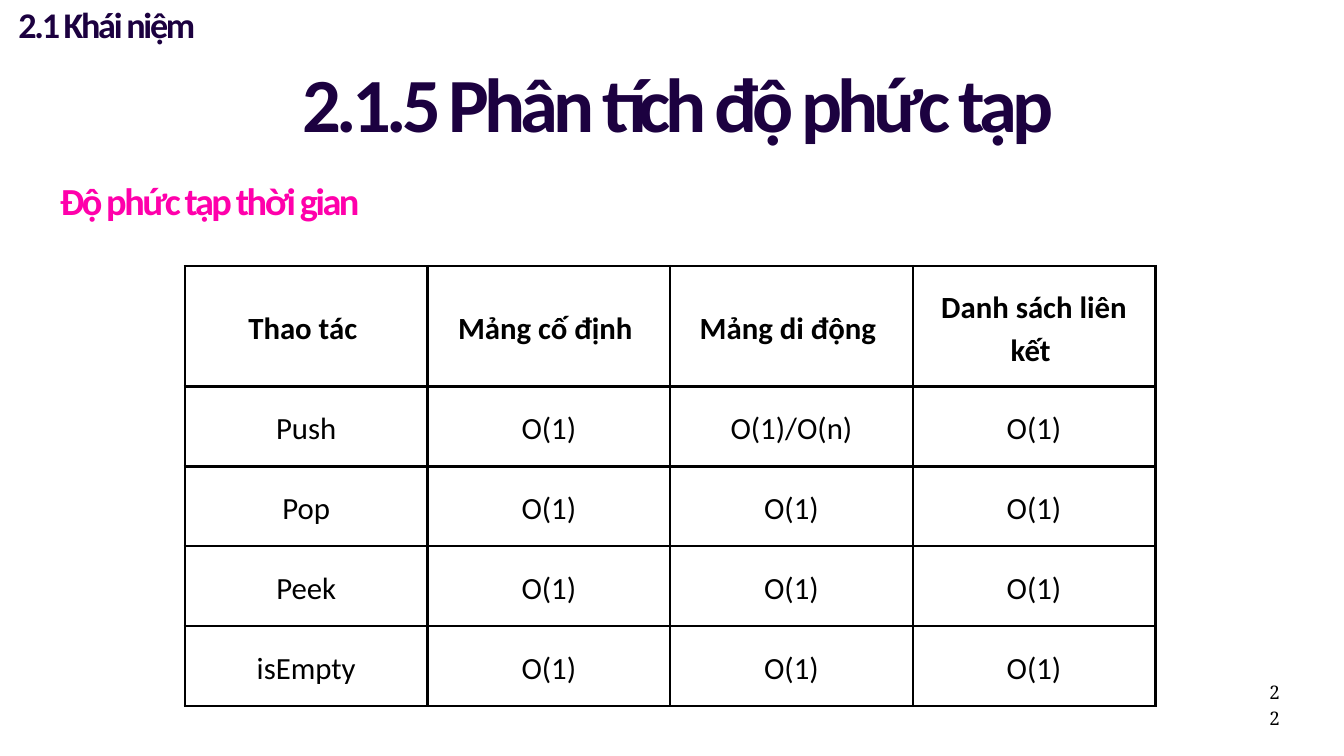
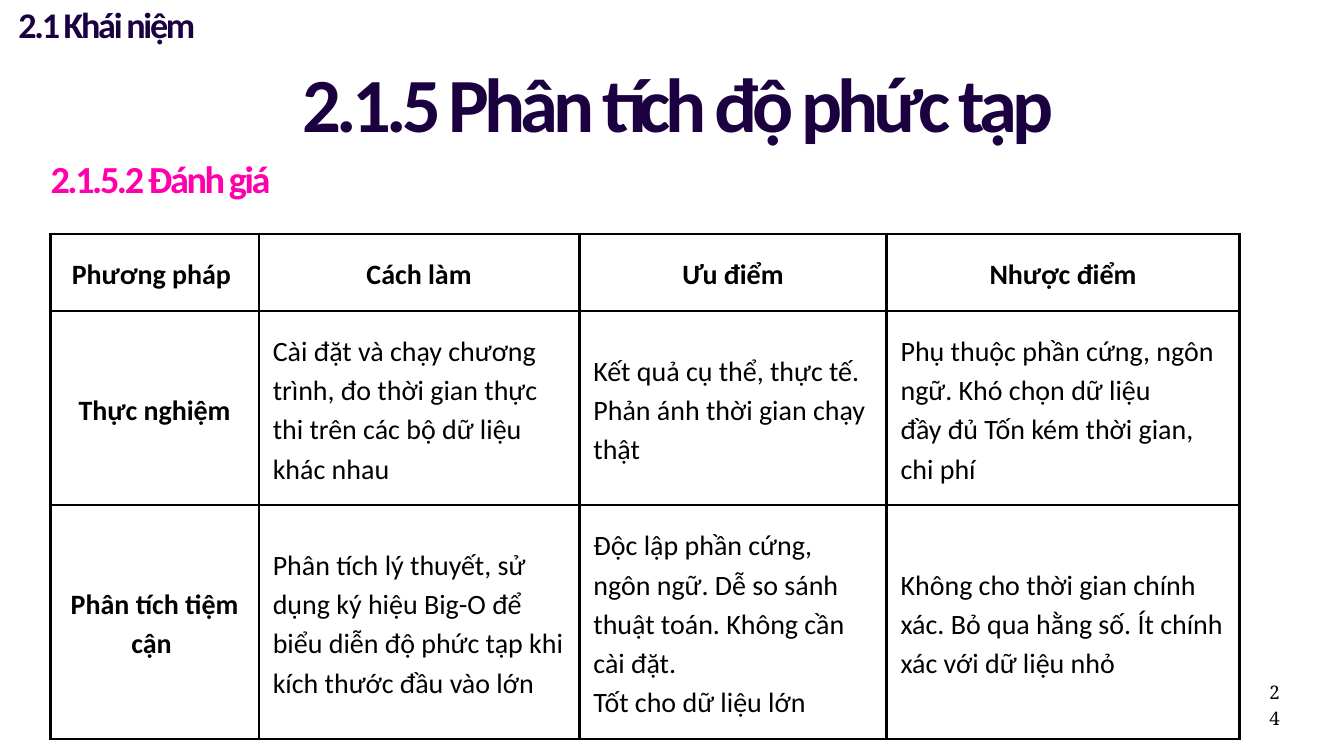
from dataclasses import dataclass

from lxml import etree
from pptx import Presentation
from pptx.dml.color import RGBColor
from pptx.enum.text import MSO_ANCHOR, PP_ALIGN
from pptx.oxml.ns import qn
from pptx.util import Cm, Pt

LEFT, CENTER = PP_ALIGN.LEFT, PP_ALIGN.CENTER
TOP, MIDDLE = MSO_ANCHOR.TOP, MSO_ANCHOR.MIDDLE
TITLE_ONLY = 5
SIDES = ("a:lnL", "a:lnR", "a:lnT", "a:lnB")


@dataclass(frozen=True)
class TextStyle:
    size: float
    line: float
    color: str
    bold: bool = False
    align: PP_ALIGN = LEFT
    tracking: float = 0
    font: str = "Calibri"


@dataclass(frozen=True)
class Theme:
    border: str = "000000"
    border_pt: float = 3
    cell_inset: float = 0.53
    crumb: TextStyle = TextStyle(38.7, 54.2, "1C0140", True, CENTER, -2.4)
    title: TextStyle = TextStyle(82.1, 114.9, "1C0140", True, CENTER, -5.2)
    heading: TextStyle = TextStyle(41, 57.4, "FF00AB", True, LEFT, -2.6)
    number: TextStyle = TextStyle(20, 28, "000000", align=CENTER, font="Noto Serif")
    large_label: TextStyle = TextStyle(33, 46.2, "000000", True, CENTER)
    large_value: TextStyle = TextStyle(33, 46.2, "000000", align=CENTER)
    label: TextStyle = TextStyle(30, 42, "000000", True, CENTER)
    prose: TextStyle = TextStyle(30, 42, "000000")


@dataclass(frozen=True)
class Box:
    left: float
    top: float
    width: float
    height: float


@dataclass(frozen=True)
class Grid:
    left: float
    top: float
    cols: list[float]
    rows: list[float]
    cells: list[list[str]]
    header: TextStyle
    first_col: TextStyle
    body: TextStyle


@dataclass(frozen=True)
class Page:
    number: str
    heading: str
    heading_box: Box
    grid: Grid


THEME = Theme()
CRUMB_BOX = Box(-0.71, -0.18, 9.5, 2.29)
TITLE_BOX = Box(2.84, 1.52, 45.59, 4.8)
NUMBER_BOX = Box(47.96, 25.58, 0.43, 0.56)

COMPLEXITY = Grid(
    6.99, 10.06, [9.17] * 4, [4.55] + [3.02] * 4,
    [
        ["Thao tác ", "Mảng cố định ", "Mảng di động ", "Danh sách liên kết "],
        ["Push", "O(1)", "O(1)/O(n)", "O(1)"],
        *([name] + ["O(1)"] * 3 for name in ("Pop", "Peek", "isEmpty")),
    ],
    THEME.large_label, THEME.large_value, THEME.large_value,
)
METHODS = Grid(
    1.91, 8.84, [7.87, 12.12, 11.61, 13.34], [2.92, 7.34, 8.84],
    [
        ["Phương pháp ", "Cách làm", "Ưu điểm", "Nhược điểm"],
        [
            "Thực nghiệm",
            "Cài đặt và chạy chương trình, đo thời gian thực thi trên các bộ dữ liệu\n"
            "khác nhau",
            "Kết quả cụ thể, thực tế. Phản ánh thời gian chạy thật",
            "Phụ thuộc phần cứng, ngôn ngữ. Khó chọn dữ liệu\n"
            "đầy đủ Tốn kém thời gian, chi phí",
        ],
        [
            "Phân tích tiệm cận ",
            "Phân tích lý thuyết, sử dụng ký hiệu Big-O để biểu diễn độ phức tạp khi "
            "kích thước đầu vào lớn",
            "Độc lập phần cứng, ngôn ngữ. Dễ so sánh thuật toán. Không cần cài đặt.\n"
            "Tốt cho dữ liệu lớn",
            "Không cho thời gian chính xác. Bỏ qua hằng số. Ít chính\n"
            "xác với dữ liệu nhỏ",
        ],
    ],
    THEME.label, THEME.label, THEME.prose,
)
PAGES = [
    Page("22", "Độ phức tạp thời gian", Box(2.26, 6.4, 31.9, 2.39), COMPLEXITY),
    Page("24", "2.1.5.2 Đánh giá", Box(1.91, 5.59, 31.9, 2.16), METHODS),
]


def write(tf, text: str, style: TextStyle) -> None:
    tf.text = text
    for p in tf.paragraphs:
        p.alignment = style.align
        p.line_spacing = Pt(style.line)
        p.space_before = p.space_after = Pt(0)
        for r in p.runs:
            r.font.name = style.font
            r.font.size = Pt(style.size)
            r.font.bold = style.bold
            r.font.color.rgb = RGBColor.from_string(style.color)
            if style.tracking:
                r.font._element.set("spc", str(round(style.tracking * 100)))


def fill_frame(sp, box: Box, text: str, style: TextStyle) -> None:
    sp.left, sp.top = Cm(box.left), Cm(box.top)
    sp.width, sp.height = Cm(box.width), Cm(box.height)
    tf = sp.text_frame
    tf.margin_left = tf.margin_right = tf.margin_top = tf.margin_bottom = 0
    tf.vertical_anchor = TOP
    tf.word_wrap = True
    write(tf, text, style)


def add_text(slide, box: Box, text: str, style: TextStyle) -> None:
    fill_frame(slide.shapes.add_textbox(0, 0, 0, 0), box, text, style)


def set_borders(cell) -> None:
    tc_pr = cell._tc.get_or_add_tcPr()
    for side in SIDES:
        ln = etree.SubElement(tc_pr, qn(side), w=str(Pt(THEME.border_pt)))
        fill = etree.SubElement(ln, qn("a:solidFill"))
        etree.SubElement(fill, qn("a:srgbClr"), val=THEME.border)


def add_grid(slide, grid: Grid) -> None:
    table = slide.shapes.add_table(
        len(grid.rows), len(grid.cols), Cm(grid.left), Cm(grid.top),
        Cm(sum(grid.cols)), Cm(sum(grid.rows)),
    ).table
    table.first_row = table.horz_banding = False
    for col, width in zip(table.columns, grid.cols):
        col.width = Cm(width)
    for i, (row, height) in enumerate(zip(table.rows, grid.rows)):
        row.height = Cm(height)
        for j, cell in enumerate(row.cells):
            inset = Cm(THEME.cell_inset)
            cell.margin_left = cell.margin_right = inset
            cell.margin_top = cell.margin_bottom = inset
            cell.vertical_anchor = MIDDLE
            set_borders(cell)
            cell.fill.background()
            style = grid.header if i == 0 else grid.first_col if j == 0 else grid.body
            write(cell.text_frame, grid.cells[i][j], style)


def add_page(prs, page: Page) -> None:
    slide = prs.slides.add_slide(prs.slide_layouts[TITLE_ONLY])
    add_grid(slide, page.grid)
    add_text(slide, CRUMB_BOX, "2.1 Khái niệm", THEME.crumb)
    fill_frame(slide.shapes.title, TITLE_BOX, "2.1.5 Phân tích độ phức tạp", THEME.title)
    add_text(slide, page.heading_box, page.heading, THEME.heading)
    add_text(slide, NUMBER_BOX, page.number, THEME.number)


def main() -> None:
    prs = Presentation()
    prs.slide_width, prs.slide_height = Cm(50.8), Cm(28.58)
    for page in PAGES:
        add_page(prs, page)
    prs.save("out.pptx")


if __name__ == "__main__":
    main()
